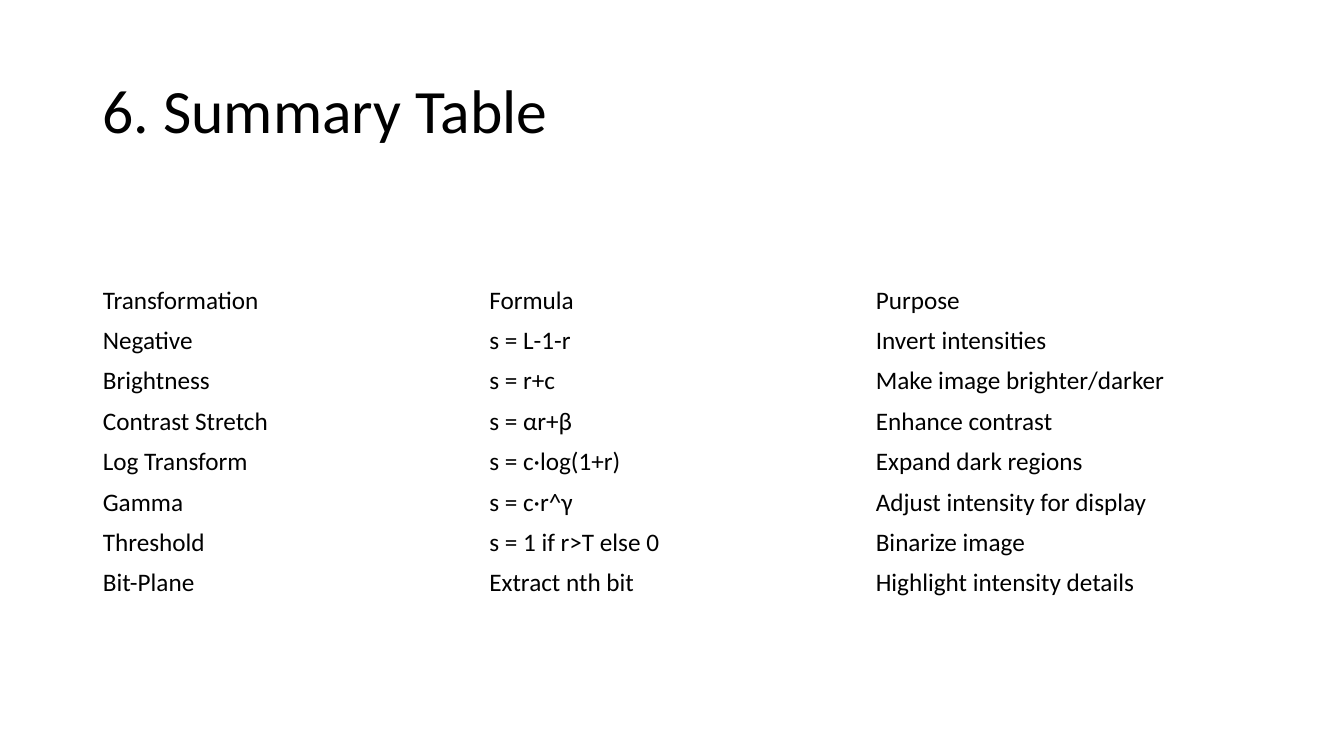
from pptx import Presentation
from pptx.dml.color import RGBColor
from pptx.enum.text import MSO_ANCHOR as Anchor
from pptx.util import Inches, Pt

HEADING = "6. Summary Table"
TRANSFORMATIONS = [
    ("Transformation", "Formula", "Purpose"),
    ("Negative", "s = L-1-r", "Invert intensities"),
    ("Brightness", "s = r+c", "Make image brighter/darker"),
    ("Contrast Stretch", "s = αr+β", "Enhance contrast"),
    ("Log Transform", "s = c·log(1+r)", "Expand dark regions"),
    ("Gamma", "s = c·r^γ", "Adjust intensity for display"),
    ("Threshold", "s = 1 if r>T else 0", "Binarize image"),
    ("Bit-Plane", "Extract nth bit", "Highlight intensity details"),
]
COLORS = {"text": "000000", "background": "FFFFFF"}
HEADING_FONT = {"name": "Calibri", "size": Pt(44), "bold": False}
CELL_FONT = {"name": "Calibri", "size": Pt(18), "bold": False}
PLAIN_TABLE = {"first_row": False, "horz_banding": False}

WIDTH, HEIGHT = Inches(13.33), Inches(7.5)
MARGIN = Inches(0.92)
CONTENT_WIDTH = Inches(11.5)
HEADING_TOP, HEADING_HEIGHT = Inches(0.4), Inches(1.45)
SUMMARY_TOP, ROW_HEIGHT = Inches(2.78), Inches(0.4)


def apply(target, values):
    for key, value in values.items():
        setattr(target, key, value)


def write(paragraph, text, font):
    paragraph.text = text
    apply(paragraph.font, font)
    paragraph.font.color.rgb = RGBColor.from_string(COLORS["text"])


def add_heading(slide):
    frame = slide.shapes.add_textbox(
        MARGIN, HEADING_TOP, CONTENT_WIDTH, HEADING_HEIGHT).text_frame
    apply(frame, {"word_wrap": True, "vertical_anchor": Anchor.MIDDLE})
    write(frame.paragraphs[0], HEADING, HEADING_FONT)
    frame.paragraphs[0].line_spacing = 0.9


def add_summary(slide):
    rows, columns = len(TRANSFORMATIONS), len(TRANSFORMATIONS[0])
    summary = slide.shapes.add_table(
        rows, columns, MARGIN, SUMMARY_TOP, CONTENT_WIDTH, ROW_HEIGHT * rows).table
    apply(summary, PLAIN_TABLE)
    for row, entries in enumerate(TRANSFORMATIONS):
        for column, entry in enumerate(entries):
            cell = summary.cell(row, column)
            cell.fill.background()
            cell.vertical_anchor = Anchor.MIDDLE
            write(cell.text_frame.paragraphs[0], entry, CELL_FONT)


def main():
    deck = Presentation()
    apply(deck, {"slide_width": WIDTH, "slide_height": HEIGHT})
    slide = deck.slides.add_slide(deck.slide_layouts[6])
    slide.background.fill.solid()
    slide.background.fill.fore_color.rgb = RGBColor.from_string(COLORS["background"])
    add_heading(slide)
    add_summary(slide)
    deck.save("out.pptx")


if __name__ == "__main__":
    main()
